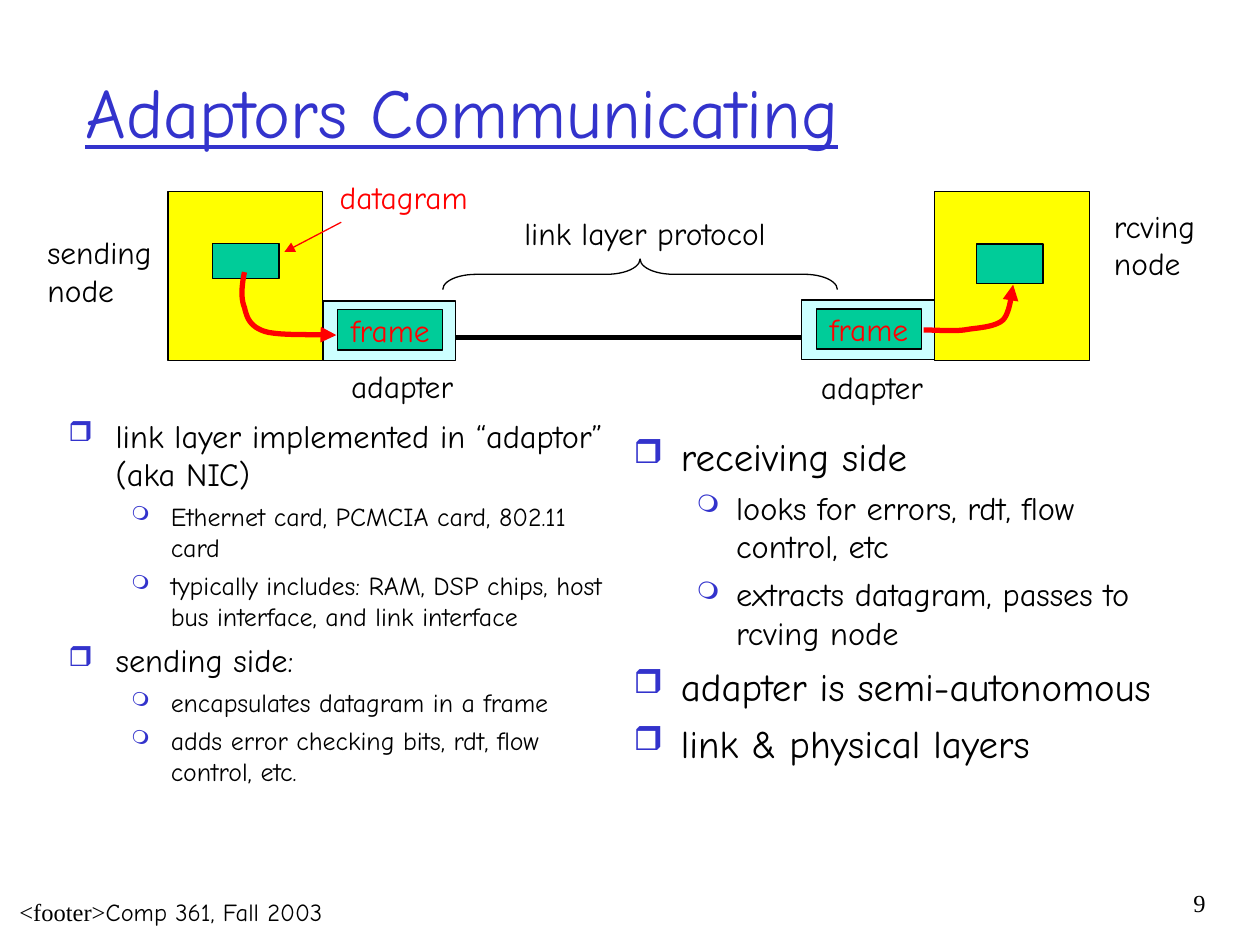
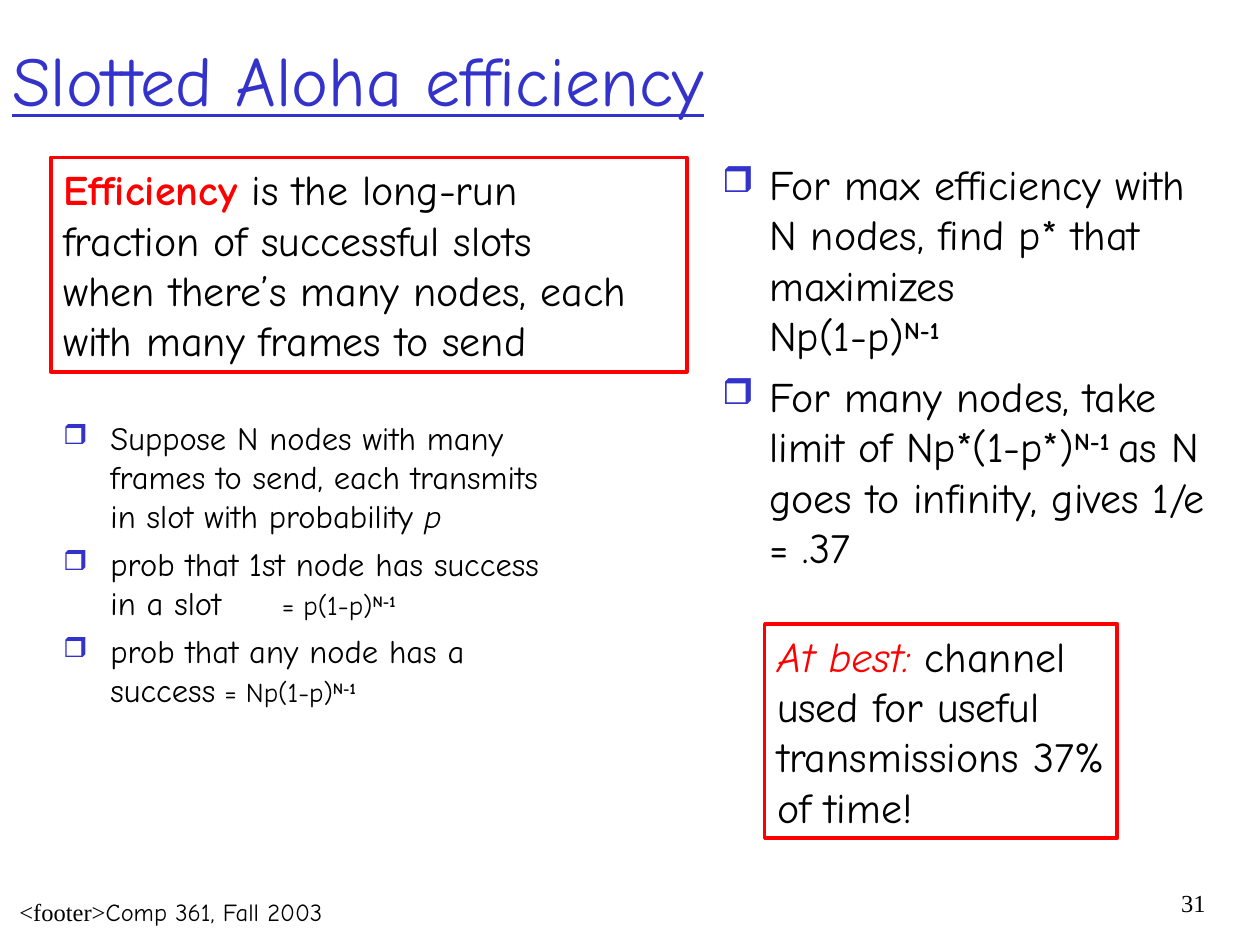
from dataclasses import dataclass

from lxml.etree import SubElement
from pptx import Presentation
from pptx.dml.color import RGBColor as RGB
from pptx.enum.shapes import MSO_CONNECTOR as Link, MSO_SHAPE as Shape
from pptx.enum.text import MSO_ANCHOR as Anchor, MSO_AUTO_SIZE as Fit, PP_ALIGN as Align
from pptx.oxml.ns import qn
from pptx.util import Pt


@dataclass(frozen=True)
class Theme:
    face: str = "Comic Neue"
    serif: str = "Times New Roman"
    ink: str = "000000"
    blue: str = "3333CC"
    red: str = "FF0000"
    yellow: str = "FFFF00"
    green: str = "00CC99"
    cyan: str = "CCFFFF"
    title: float = 40
    large: float = 24
    label: float = 18
    small: float = 14
    thin: float = 0.75
    frame: float = 2
    thick: float = 3


LOOK = Theme()
LEVELS = (("❒", 85, 27, 27), ("❍", 75, 58.5, 22.5))
SUP = {"bold": True, "sup": True}
WIRES = (
    ((139.7, 155.5), (138.2, 162.7), (137.5, 170.6), (139.7, 175.7), (141.1, 181.4),
     (142.6, 186.5), (151.2, 189.4), (159.8, 192.2), (185, 190.8), (192.2, 191.5)),
    ((527.8, 188.6), (535.7, 188.6), (543.6, 189.4), (550.8, 188.6), (558.7, 187.2),
     (568.1, 187.2), (573.1, 182.9), (577.4, 178.6), (578.2, 165.6), (578.9, 162.7)),
)


def bend(knots, steps=12):
    for i in range(0, len(knots) - 1, 3):
        a, b, c, d = knots[i:i + 4]
        for n in range(1, steps + 1):
            t = n / steps
            u = 1 - t
            yield tuple(Pt(u**3 * p + 3 * u * u * t * q + 3 * u * t * t * r + t**3 * s)
                        for p, q, r, s in zip(a, b, c, d))


class Deck:
    def __init__(self, look):
        self.look = look
        self.prs = Presentation()
        self.prs.slide_width, self.prs.slide_height = Pt(720), Pt(540)

    def start(self, title, left, top, page):
        look = self.look
        self.slide = self.prs.slides.add_slide(self.prs.slide_layouts[6])
        self.art = self.slide.shapes
        serif = {"name": look.serif}
        self.text((0, 509, 191.5, 54), [[("<footer>", serif), ("Comp 361, Fall 2003", {})]],
                  look.small, align=Align.RIGHT)
        self.text((left, top, 612, 90), [[(title, {"color": look.blue, "underline": True})]],
                  look.title, anchor=Anchor.MIDDLE)
        self.text((643, 504, 53, 36), [[(page, serif)]], look.small, align=Align.RIGHT)

    def style(self, font, size, form):
        base = {"name": self.look.face, "size": size, "color": self.look.ink}
        for key, value in {**base, **form}.items():
            if key == "color":
                font.color.rgb = RGB.from_string(value)
            elif key != "sup":
                setattr(font, key, Pt(value) if key == "size" else value)

    def words(self, para, runs, size):
        for text, form in [(runs, {})] if isinstance(runs, str) else runs:
            for n, part in enumerate(text.split("\n")):
                if n:
                    para.add_line_break()
                run = para.add_run()
                run.text = part
                self.style(run.font, size, form)
                if form.get("sup"):
                    run._r.get_or_add_rPr().set("baseline", "30000")

    def fill(self, shape, paras, size, align=Align.LEFT, anchor=Anchor.TOP, wrap=True, grow=False):
        frame = shape.text_frame
        frame.word_wrap = wrap
        frame.auto_size = Fit.SHAPE_TO_FIT_TEXT if grow else Fit.NONE
        frame.vertical_anchor = anchor
        for n, runs in enumerate(paras):
            para = frame.add_paragraph() if n else frame.paragraphs[0]
            para.alignment = align
            self.words(para, runs, size)

    def text(self, place, paras, size, **form):
        self.fill(self.art.add_textbox(*map(Pt, place)), paras, size, **form)

    def label(self, place, *lines, color=None):
        form = {"color": color or self.look.ink}
        self.text(place, [[(line, form)] for line in lines], self.look.label, wrap=False, grow=True)

    def bullets(self, place, items, sizes, gaps):
        frame = self.art.add_textbox(*map(Pt, place)).text_frame
        frame.word_wrap = True
        for n, (level, runs, *tab) in enumerate(items):
            mark, scale, left, hang = LEVELS[level]
            para = frame.add_paragraph() if n else frame.paragraphs[0]
            props = para._p.get_or_add_pPr()
            props.set("marL", str(Pt(left)))
            props.set("indent", str(-Pt(hang)))
            hue = SubElement(props, qn("a:buClr"))
            SubElement(hue, qn("a:srgbClr"), val=self.look.blue)
            SubElement(props, qn("a:buSzPct"), val=str(scale * 1000))
            SubElement(props, qn("a:buChar"), char=mark)
            if tab:
                stops = SubElement(props, qn("a:tabLst"))
                SubElement(stops, qn("a:tab"), pos=str(Pt(tab[0])), algn="l")
            if n:
                para.space_before = Pt(gaps[level])
            self.words(para, runs, sizes[level])

    def line(self, shape, color, width, arrow=False):
        shape.line.color.rgb = RGB.from_string(color)
        shape.line.width = Pt(width)
        if arrow:
            SubElement(shape.element.spPr.find(qn("a:ln")), qn("a:tailEnd"), type="triangle")

    def rect(self, place, fill=None, color=None, width=None, kind=Shape.RECTANGLE):
        shape = self.art.add_shape(kind, *map(Pt, place))
        shape.shadow.inherit = False
        if fill:
            shape.fill.solid()
            shape.fill.fore_color.rgb = RGB.from_string(fill)
        else:
            shape.fill.background()
        self.line(shape, color or self.look.ink, width or self.look.thin)
        return shape

    def note(self, place, paras, **form):
        shape = self.rect(place, color=self.look.red, width=self.look.frame)
        self.fill(shape, paras, self.look.large, grow=True, **form)

    def link(self, ends, color, width, arrow=False):
        wire = self.art.add_connector(Link.STRAIGHT, *map(Pt, ends))
        self.line(wire, color, width, arrow)
        SubElement(wire.element.spPr, qn("a:effectLst"))

    def curve(self, knots):
        pen = self.art.build_freeform(*map(Pt, knots[0]), scale=1.0)
        pen.add_line_segments(list(bend(knots)), close=False)
        shape = pen.convert_to_shape()
        shape.shadow.inherit = False
        shape.fill.background()
        self.line(shape, self.look.red, self.look.thick, arrow=True)

    def card(self, left, top):
        self.rect((left, top, 76, 34), self.look.cyan)
        shape = self.rect((left + 8.5, top + 5, 60, 23), self.look.green)
        self.fill(shape, [[("frame", {"color": self.look.red})]], self.look.label,
                  align=Align.CENTER, anchor=Anchor.MIDDLE, wrap=False)

    def node(self, left, inner):
        self.rect((left, 109.5, 88.5, 96.5), self.look.yellow)
        self.rect(inner, self.look.green)

    def brace(self, place):
        shape = self.rect(place, kind=Shape.LEFT_BRACE)
        shape.adjustments[0] = 1.09
        shape.rotation = 90


def adaptors(deck):
    look = deck.look
    deck.start("Adaptors Communicating", 41.75, 18, "9")
    deck.bullets((32, 234, 320, 248), [
        (0, "link layer implemented in “adaptor” (aka NIC)"),
        (1, "Ethernet card, PCMCIA card, 802.11 card"),
        (1, "typically includes: RAM, DSP chips, host bus interface, and link interface"),
        (0, "sending side:"),
        (1, "encapsulates datagram in a frame"),
        (1, "adds error checking bits, rdt, flow control, etc."),
    ], (18.5, 14.8), (5, 4))
    deck.bullets((355, 243.5, 322, 235), [
        (0, "receiving side"),
        (1, "looks for errors, rdt, flow control, etc"),
        (1, "extracts datagram, passes to rcving node"),
        (0, "adapter is semi-autonomous"),
        (0, "link & physical layers"),
    ], (22.2, 18.5), (6, 5))
    deck.card(184.5, 172)
    deck.link((260, 193, 458.5, 193), look.ink, look.thick)
    deck.node(534, (558, 139.5, 38, 22.5))
    deck.node(96, (121.5, 139, 38, 20))
    deck.card(458, 171.5)
    deck.link((195, 127, 162.5, 144), look.red, look.thin, arrow=True)
    for knots in WIRES:
        deck.curve(knots)
    deck.brace((357, 44, 17.5, 225.5))
    deck.label((20, 129.5, 74, 50), "sending", "node")
    deck.label((629.5, 114.5, 61, 50), "rcving", "node")
    deck.label((187, 98, 88.5, 29), "datagram", color=look.red)
    deck.label((193.5, 206, 73.5, 29), "adapter")
    deck.label((462, 206.5, 73.5, 29), "adapter")
    deck.label((292.5, 119, 153.5, 29), "link layer protocol")


def aloha(deck):
    look = deck.look
    small = {"size": 15.5}
    power = ("N-1", {**small, **SUP})
    deck.start("Slotted Aloha efficiency", 0, 0, "31")
    deck.bullets((29, 235.5, 300, 246), [
        (0, [("Suppose N nodes with many frames to send, each transmits in slot with probability ", {}),
             ("p", {"italic": True})]),
        (0, [("prob that 1st node has success in a slot\t", {}), ("= p(1-p)", small), power], 125),
        (0, [("prob that any node has a success", {}), (" = Np(1-p)", small), power]),
    ], (18.6,), (5,))
    deck.bullets((405.5, 87, 300, 249), [
        (0, [("For max efficiency with N nodes, find p* that maximizes\nNp(1-p)", {}), ("N-1", SUP)]),
        (0, [("For many nodes, take limit of Np*(1-p*)", {}), ("N-1 ", SUP),
             ("as N goes to infinity, gives 1/e = .37", {})]),
    ], (look.large,), (6,))
    deck.note((29, 90, 363.5, 122.5), [[
        ("Efficiency", {"color": look.red, "bold": True}),
        (" is the long-run\nfraction of successful slots\nwhen there’s many nodes, each\n"
         "with many frames to send", {})]])
    deck.note((437, 356.5, 201.5, 122.5), [
        [("At best:", {"color": look.red, "italic": True}), (" channel", {})],
        "used for useful", "transmissions 37%", "of time!"], wrap=False)


def main():
    deck = Deck(LOOK)
    adaptors(deck)
    aloha(deck)
    deck.prs.save("out.pptx")


if __name__ == "__main__":
    main()
